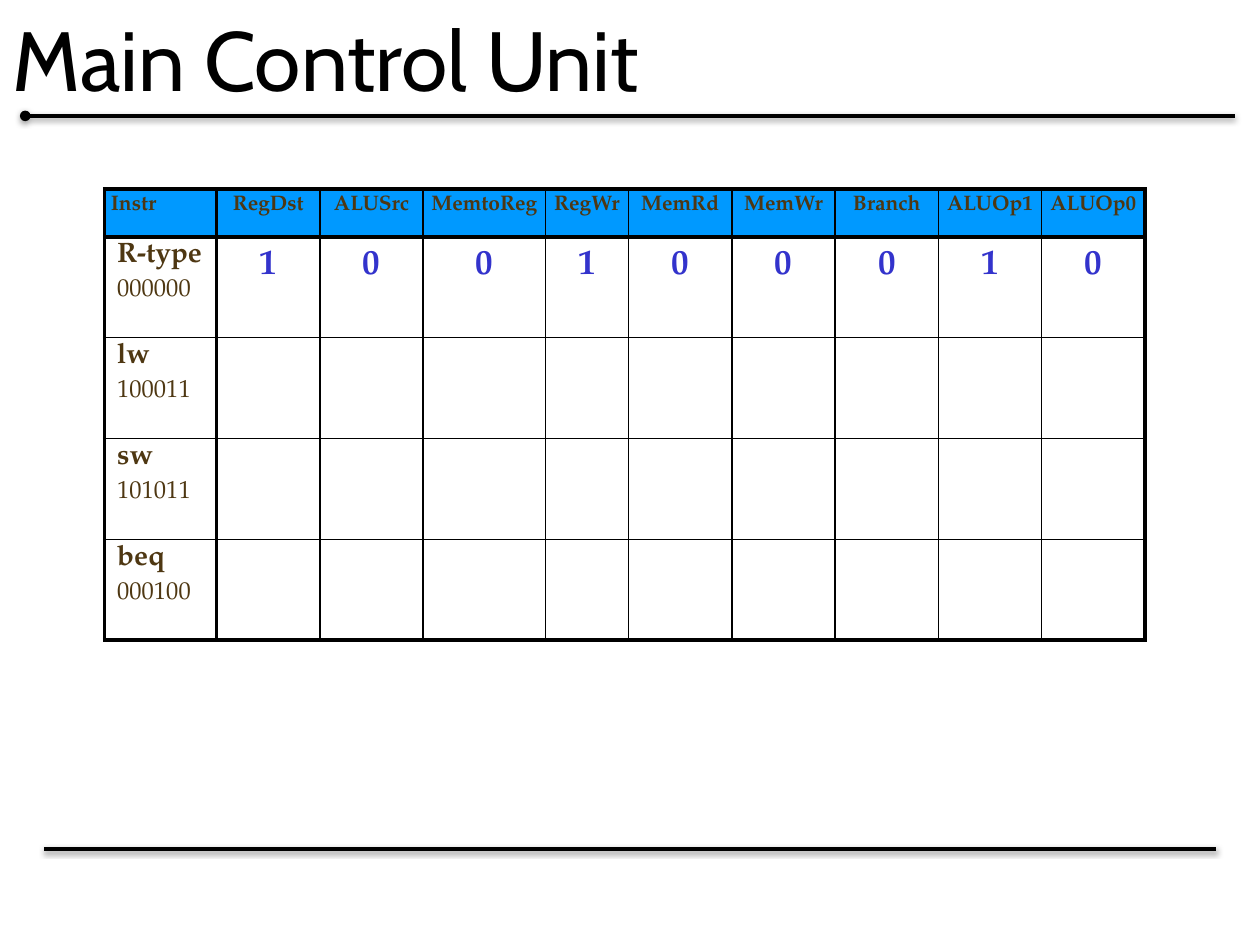
from lxml import etree
from pptx import Presentation
from pptx.dml.color import RGBColor
from pptx.enum.shapes import MSO_CONNECTOR
from pptx.enum.text import MSO_ANCHOR, PP_ALIGN
from pptx.oxml import parse_xml
from pptx.oxml.ns import nsdecls, qn
from pptx.util import Pt

PX = 9144
LEFT, CENTER = PP_ALIGN.LEFT, PP_ALIGN.CENTER
MIDDLE = MSO_ANCHOR.MIDDLE
STRAIGHT = MSO_CONNECTOR.STRAIGHT
BLACK = RGBColor(0x00, 0x00, 0x00)
BROWN = RGBColor(0x4E, 0x37, 0x12)
BLUE = RGBColor(0x33, 0x33, 0xCC)
SKY = RGBColor(0x00, 0x99, 0xFF)
SANS, SERIF = "Cabin", "TeX Gyre Pagella"
THIN, THICK = 1, 2.25

HEADS = ["Instr", "RegDst", "ALUSrc", "MemtoReg", "RegWr", "MemRd",
         "MemWr", "Branch", "ALUOp1", "ALUOp0"]
CODES = [("R-type", "000000"), ("lw", "100011"),
         ("sw", "101011"), ("beq", "000100")]
BITS = ["100100010", "", "", ""]
WIDTHS = [89, 82, 82, 97, 66, 82, 82, 82, 82, 82]
HEIGHTS = [38, 80, 80, 80, 80]


def px(*nums):
    return [n * PX for n in nums]


def add_rule(slide, x1, x2, y, dot=False):
    rule = slide.shapes.add_connector(STRAIGHT, *px(x1, y, x2, y))
    rule.line.color.rgb = BLACK
    rule.line.width = Pt(2)
    if dot:
        etree.SubElement(rule.line._ln, qn("a:headEnd"), type="oval")
    rule._element.spPr.append(parse_xml(
        f'<a:effectLst {nsdecls("a")}>'
        f'<a:outerShdw blurRad="{Pt(3.1)}" dist="{Pt(1)}" dir="5400000" rotWithShape="0">'
        f'<a:srgbClr val="{BLACK}"><a:alpha val="38000"/></a:srgbClr>'
        '</a:outerShdw></a:effectLst>'))


def add_title(slide, text, x, y, w, h):
    title = slide.shapes.title
    title.left, title.top, title.width, title.height = px(x, y, w, h)
    frame = title.text_frame
    frame.text = text
    frame.vertical_anchor = MIDDLE
    para = frame.paragraphs[0]
    para.alignment = LEFT
    para.font.name, para.font.size = SANS, Pt(48)
    para.font.color.rgb = BLACK


def set_edges(cell, row, col):
    thick = {"lnL": col < 2, "lnR": col in (0, len(HEADS) - 1),
             "lnT": row < 2, "lnB": row in (0, len(CODES))}
    props = cell._tc.get_or_add_tcPr()
    for spot, (tag, bold) in enumerate(thick.items()):
        width = Pt(THICK if bold else THIN)
        props.insert(spot, parse_xml(
            f'<a:{tag} {nsdecls("a")} w="{width}"><a:solidFill>'
            f'<a:srgbClr val="{BLACK}"/></a:solidFill></a:{tag}>'))


def set_text(para, text, size, color, bold=True, align=LEFT):
    para.text = text
    para.alignment = align
    para.line_spacing = 0.9
    font = para.font
    font.name, font.size, font.bold = SERIF, Pt(size), bold
    font.color.rgb = color


def set_inset(cell, inset):
    cell.margin_left = cell.margin_right = inset * PX
    cell.margin_top = cell.margin_bottom = inset * PX


def fill_cell(cell, row, col):
    frame = cell.text_frame
    first = frame.paragraphs[0]
    if row == 0:
        set_inset(cell, 5)
        set_text(first, HEADS[col], 12, BROWN, align=CENTER if col else LEFT)
    elif col == 0:
        name, code = CODES[row - 1]
        set_text(first, name, 16, BROWN)
        para = frame.add_paragraph()
        set_text(para, code, 14, BROWN, bold=False)
        para.space_before = Pt(6.5)
    elif BITS[row - 1]:
        set_inset(cell, 10)
        set_text(first, BITS[row - 1][col - 1], 20, BLUE, align=CENTER)


def add_grid(slide, x, y):
    box = px(x, y, sum(WIDTHS), sum(HEIGHTS))
    table = slide.shapes.add_table(len(HEIGHTS), len(WIDTHS), *box).table
    table.first_row = table.horz_banding = False
    for col, width in zip(table.columns, WIDTHS):
        col.width = width * PX
    for r, height in enumerate(HEIGHTS):
        table.rows[r].height = height * PX
        for c in range(len(WIDTHS)):
            cell = table.cell(r, c)
            if r == 0:
                cell.fill.solid()
                cell.fill.fore_color.rgb = SKY
            else:
                cell.fill.background()
            set_edges(cell, r, c)
            fill_cell(cell, r, c)


def main():
    deck = Presentation()
    deck.slide_width, deck.slide_height = px(1000, 750)
    slide = deck.slides.add_slide(deck.slide_layouts[5])
    add_rule(slide, 20, 980, 92, dot=True)
    add_rule(slide, 965, 35, 674)
    add_title(slide, "Main Control Unit", 0, 0, 1000, 92)
    add_grid(slide, 83, 150)
    deck.save("out.pptx")


if __name__ == "__main__":
    main()
